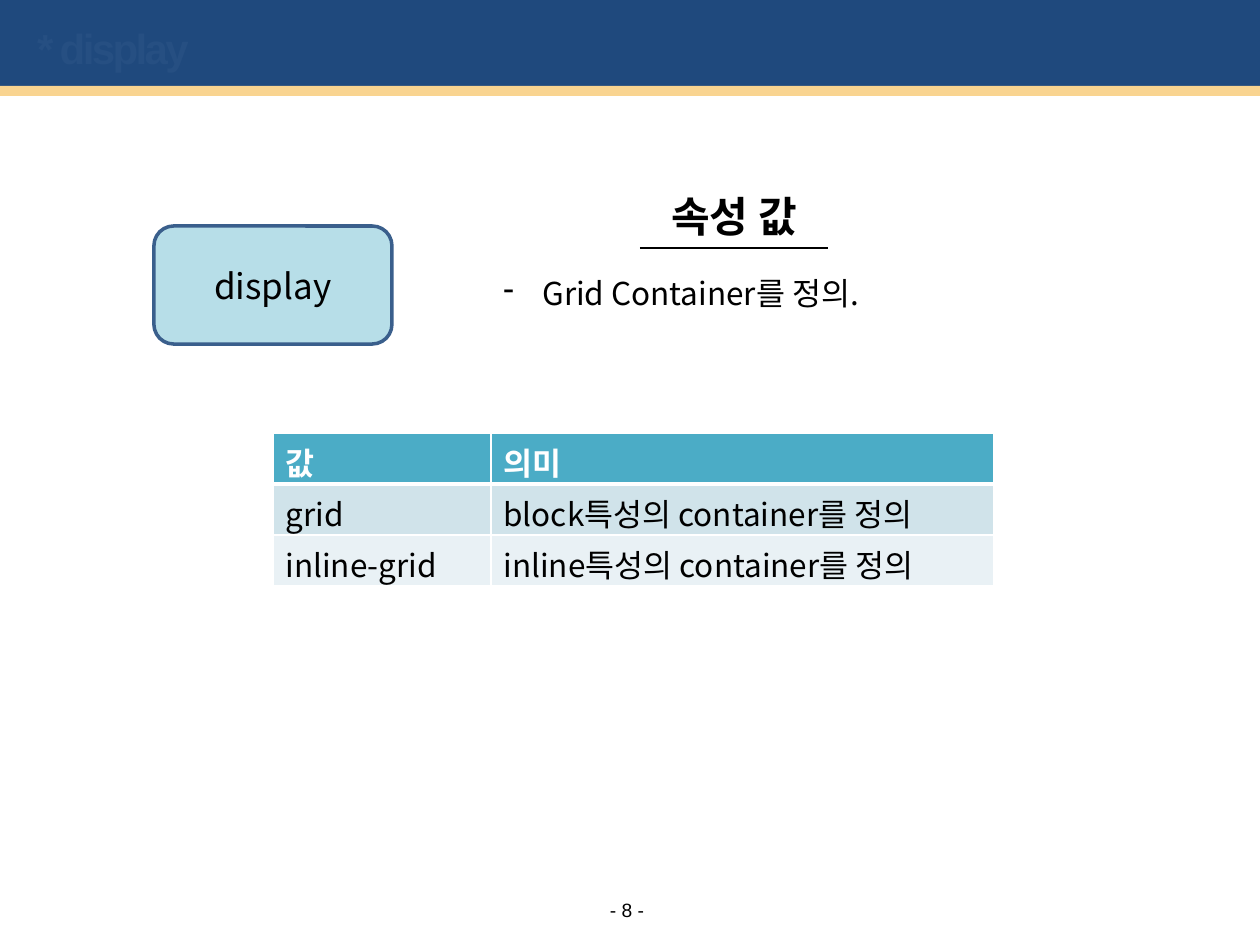
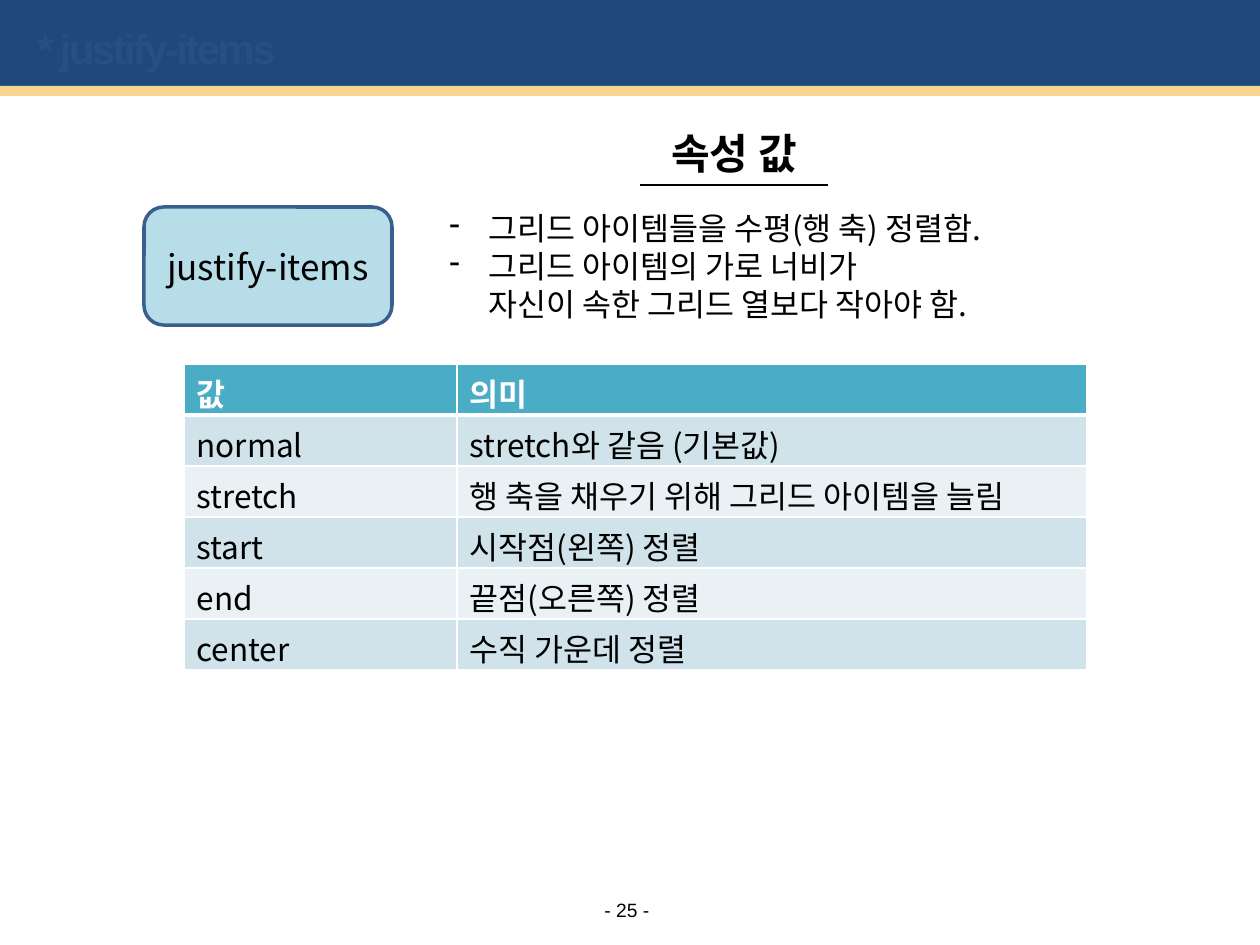
"""Build two slides on CSS grid properties and their values."""
from lxml import etree
from pptx import Presentation
from pptx import util as u
from pptx.dml.color import RGBColor
from pptx.enum import shapes, text
from pptx.oxml import ns

NAVY = RGBColor(0x1F, 0x49, 0x7D)
FAINT = RGBColor(0x26, 0x4F, 0x82)
SAND = RGBColor(0xF9, 0xD4, 0x90)
SKY = RGBColor(0xB7, 0xDE, 0xE8)
OUTLINE = RGBColor(0x3A, 0x5F, 0x8C)
TEAL = RGBColor(0x4B, 0xAC, 0xC6)
BANDS = (RGBColor(0xE9, 0xF1, 0xF5), RGBColor(0xD0, 0xE3, 0xEA))
BLACK = RGBColor(0, 0, 0)
WHITE = RGBColor(0xFF, 0xFF, 0xFF)
SANS, KOREAN = "Arial", "Noto Sans CJK KR"
ROW_HEIGHT = 51
HANGING = 39


def px(n):
    """Turn pixels at 126 to the inch into EMU."""
    return u.Emu(n * 914400 // 126)


def child(parent, tag, **attrs):
    """Append a drawing element to a parent."""
    return etree.SubElement(parent, ns.qn(tag), attrs)


def add_run(p, words, size, color=BLACK, bold=False, font=KOREAN):
    """Add one formatted run to a paragraph."""
    r = p.add_run()
    r.text = words
    r.font.size = u.Pt(size)
    r.font.bold = bold
    r.font.color.rgb = color
    r.font.name = font
    child(r._r.get_or_add_rPr(), "a:ea", typeface=font)
    return r


def add_shape(slide, kind, box, fill, line=None):
    """Add a filled preset shape, outlined if a line colour is given."""
    sp = slide.shapes.add_shape(kind, *map(px, box))
    sp.shadow.inherit = False
    sp.fill.solid()
    sp.fill.fore_color.rgb = fill
    if line is None:
        sp.line.fill.background()
    else:
        sp.line.color.rgb = line
        sp.line.width = u.Pt(2)
    return sp


def add_text_box(slide, box):
    """Add a wrapping text box and return its text frame."""
    tf = slide.shapes.add_textbox(*map(px, box)).text_frame
    tf.word_wrap = True
    return tf


def clear_margins(tf):
    """Remove the insets and centre the text vertically."""
    tf.margin_left = tf.margin_right = tf.margin_top = tf.margin_bottom = 0
    tf.vertical_anchor = text.MSO_ANCHOR.MIDDLE


def add_frame(slide, title, number):
    """Add the header bands, the title and the page number."""
    rectangle = shapes.MSO_SHAPE.RECTANGLE
    add_shape(slide, rectangle, (0, -4, 1260, 96), NAVY)
    add_shape(slide, rectangle, (0, 86, 1260, 10), SAND)

    sp = slide.shapes.title
    sp.left, sp.top, sp.width, sp.height = map(px, (37, 10, 1180, 76))
    slide.shapes.element.append(sp.element)
    tf = sp.text_frame
    tf.auto_size = text.MSO_AUTO_SIZE.NONE
    clear_margins(tf)
    p = tf.paragraphs[0]
    p.alignment = text.PP_ALIGN.LEFT
    r = add_run(p, title, 24, FAINT, True, SANS)
    r._r.get_or_add_rPr().set("spc", "-150")

    tf = add_text_box(slide, (600, 898, 54, 24))
    clear_margins(tf)
    tf.word_wrap = False
    p = tf.paragraphs[0]
    p.alignment = text.PP_ALIGN.CENTER
    add_run(p, f"- {number} -", 11, font=SANS)


def add_property(slide, name, box):
    """Add the rounded box that names the property."""
    sp = add_shape(slide, shapes.MSO_SHAPE.ROUNDED_RECTANGLE, box, SKY, OUTLINE)
    tf = sp.text_frame
    tf.vertical_anchor = text.MSO_ANCHOR.MIDDLE
    p = tf.paragraphs[0]
    p.alignment = text.PP_ALIGN.CENTER
    add_run(p, name, 20)


def add_heading(slide, top):
    """Add the underlined heading above the description."""
    p = add_text_box(slide, (491, top, 486, 63)).paragraphs[0]
    p.alignment = text.PP_ALIGN.CENTER
    add_run(p, "속성 값", 24, bold=True)
    y = px(top + 64)
    line = slide.shapes.add_connector(
        shapes.MSO_CONNECTOR.STRAIGHT, px(640), y, px(828), y)
    line.line.color.rgb = BLACK
    line.line.width = u.Pt(1.5)
    child(line.element.spPr, "a:effectLst")


def add_description(slide, box, items):
    """Add a dashed list; each item is a tuple of lines."""
    tf = add_text_box(slide, box)
    for i, lines in enumerate(items):
        p = tf.add_paragraph() if i else tf.paragraphs[0]
        pPr = p._p.get_or_add_pPr()
        pPr.set("marL", str(px(HANGING)))
        pPr.set("indent", str(-px(HANGING)))
        child(pPr, "a:buChar", char="-")
        for j, words in enumerate(lines):
            if j:
                p.add_line_break()
            add_run(p, words, 18)


def set_borders(cell, top, bottom):
    """Draw white cell borders of the given top and bottom widths."""
    tcPr = cell._tc.get_or_add_tcPr()
    for side, width in zip("LRTB", (1, 1, top, bottom)):
        ln = child(tcPr, f"a:ln{side}", w=str(u.Pt(width)))
        child(child(ln, "a:solidFill"), "a:srgbClr", val=str(WHITE))


def add_value_table(slide, left, top, widths, values):
    """Add the table of values and meanings."""
    rows = [("값", "의미"), *values]
    frame = slide.shapes.add_table(
        len(rows), len(widths), px(left), px(top),
        px(sum(widths)), px(ROW_HEIGHT * len(rows)))
    table = frame.table
    table.horz_banding = False
    for column, width in zip(table.columns, widths):
        column.width = px(width)
    for i, row in enumerate(rows):
        table.rows[i].height = px(ROW_HEIGHT)
        header = i == 0
        for j, words in enumerate(row):
            cell = table.cell(i, j)
            set_borders(cell, 3 if i == 1 else 1, 3 if header else 1)
            cell.fill.solid()
            cell.fill.fore_color.rgb = TEAL if header else BANDS[i % 2]
            add_run(cell.text_frame.paragraphs[0], words, 18,
                    WHITE if header else BLACK, header)


def add_slide(prs, name, number):
    """Add a title-only slide with the shared frame."""
    slide = prs.slides.add_slide(prs.slide_layouts[5])
    add_frame(slide, f"* {name}", number)
    return slide


def main():
    """Build and save the presentation."""
    prs = Presentation()
    prs.slide_width, prs.slide_height = px(1260), px(945)

    slide = add_slide(prs, "display", 8)
    add_property(slide, "display", (154, 226, 238, 118))
    add_heading(slide, 184)
    add_description(slide, (491, 268, 615, 50), [("Grid Container를 정의.",)])
    add_value_table(slide, 273, 433, (218, 503), [
        ("grid", "block특성의 container를 정의"),
        ("inline-grid", "inline특성의 container를 정의"),
    ])

    slide = add_slide(prs, "justify-items", 25)
    add_property(slide, "justify-items", (144, 207, 248, 118))
    add_heading(slide, 121)
    add_description(slide, (437, 203, 649, 127), [
        ("그리드 아이템들을 수평(행 축) 정렬함.",),
        ("그리드 아이템의 가로 너비가", "자신이 속한 그리드 열보다 작아야 함."),
    ])
    add_value_table(slide, 184, 364, (273, 630), [
        ("normal", "stretch와 같음 (기본값)"),
        ("stretch", "행 축을 채우기 위해 그리드 아이템을 늘림"),
        ("start", "시작점(왼쪽) 정렬"),
        ("end", "끝점(오른쪽) 정렬"),
        ("center", "수직 가운데 정렬"),
    ])

    prs.save("out.pptx")


if __name__ == "__main__":
    main()
